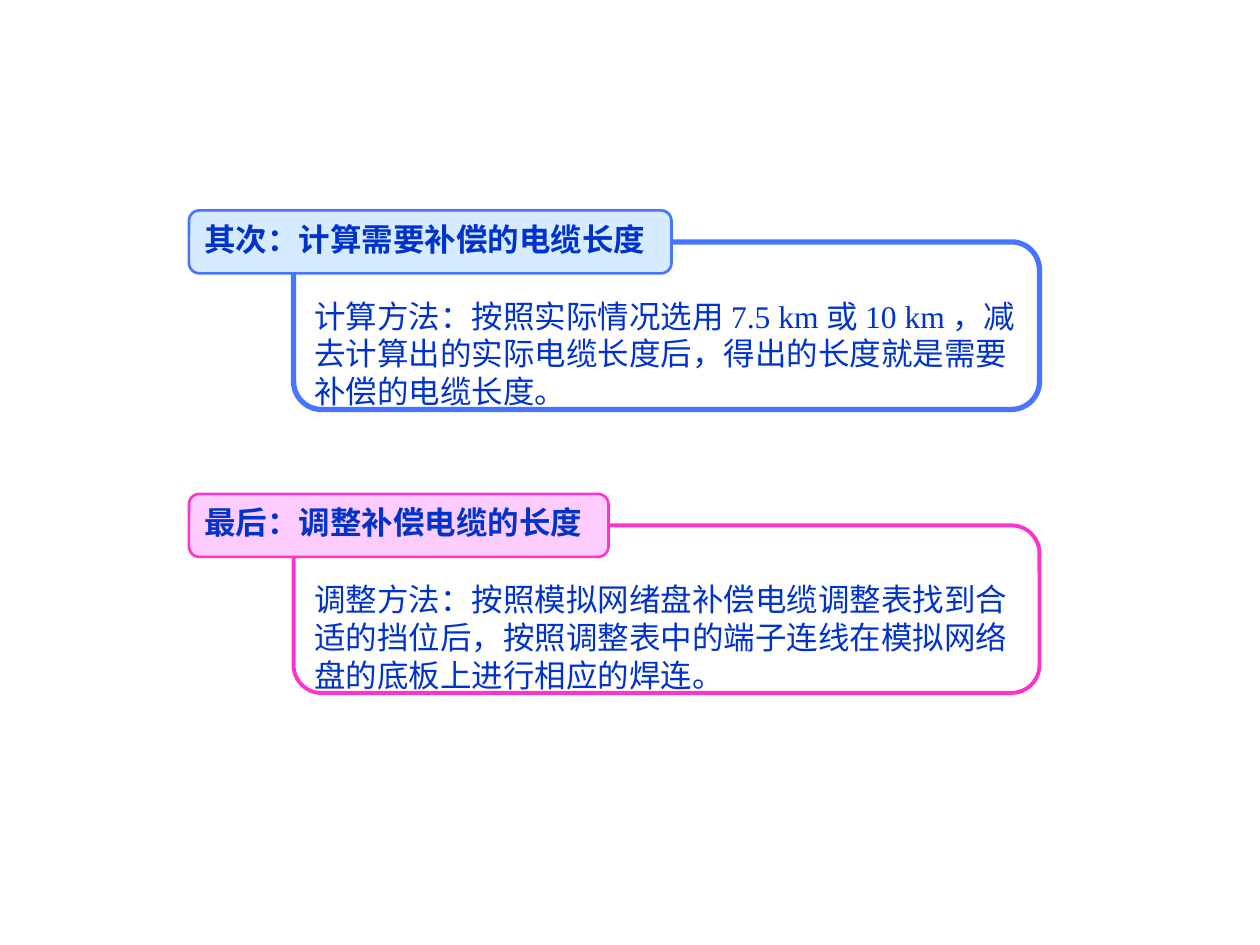
import pptx
import pptx.util
import pptx.dml.color
import pptx.enum.shapes
import pptx.enum.text

Inches = pptx.util.Inches
Pt = pptx.util.Pt
INK = "0033CC"
SERIF, SANS = "Times New Roman", "Arial"

# Top of the label, label width, label fill, line colour, body line width,
# label runs and body runs as (text, font)
STEPS = [
    (1.67, 3.83, "D6EBFF", "4775FF", 3,
     [("其次", SERIF), ("：计算需要补偿的电缆长度", SANS)],
     [("计算方法：按照实际情况选用7.5 km或10 km，减去计算出的实际电缆长度后，"
       "得出的长度就是需要补偿的电缆长度。", SERIF)]),
    (3.92, 3.33, "FFCCFF", "FF33CC", 2.25,
     [("最后：调整补偿电缆的长度", SANS)],
     [("调整方法：", SERIF),
      ("按照模拟网绪盘补偿电缆调整表找到合适的挡位后，按照调整表中的端子连线"
       "在模拟网络盘的底板上进行相应的焊连。", SANS)]),
]


def color(hex_code):
    return pptx.dml.color.RGBColor.from_string(hex_code)


def add_box(slide, left, top, width, height, fill, line, weight):
    """Rounded box with a solid fill and outline."""
    box = slide.shapes.add_shape(
        pptx.enum.shapes.MSO_SHAPE.ROUNDED_RECTANGLE,
        Inches(left), Inches(top), Inches(width), Inches(height))
    box.shadow.inherit = False
    box.fill.solid()
    box.fill.fore_color.rgb = color(fill)
    box.line.color.rgb = color(line)
    box.line.width = Pt(weight)
    return box


def write(box, parts, bold=False, inset=0.05):
    """Left-aligned text, starting at the given top inset."""
    frame = box.text_frame
    frame.word_wrap = True
    frame.vertical_anchor = pptx.enum.text.MSO_ANCHOR.TOP
    frame.margin_top = Inches(inset)
    para = frame.paragraphs[0]
    para.alignment = pptx.enum.text.PP_ALIGN.LEFT
    for text, font in parts:
        run = para.add_run()
        run.text = text
        run.font.name = font
        run.font.size = Pt(18)
        run.font.bold = bold
        run.font.color.rgb = color(INK)


def add_step(slide, top, width, fill, line, weight, label, body):
    """Body box with its label overlapping the upper left corner."""
    panel = add_box(slide, 2.33, top + 0.25, 5.92, 1.33,
                    "FFFFFF", line, weight)
    write(panel, body, inset=0.37)
    tag = add_box(slide, 1.5, top, width, 0.5, fill, line, 1.5)
    write(tag, label, bold=True)


def main():
    deck = pptx.Presentation()
    deck.slide_width, deck.slide_height = Inches(10), Inches(7.5)
    # Blank layout: the slide has no title
    slide = deck.slides.add_slide(deck.slide_layouts[6])
    for step in STEPS:
        add_step(slide, *step)
    deck.save("out.pptx")


if __name__ == "__main__":
    main()
